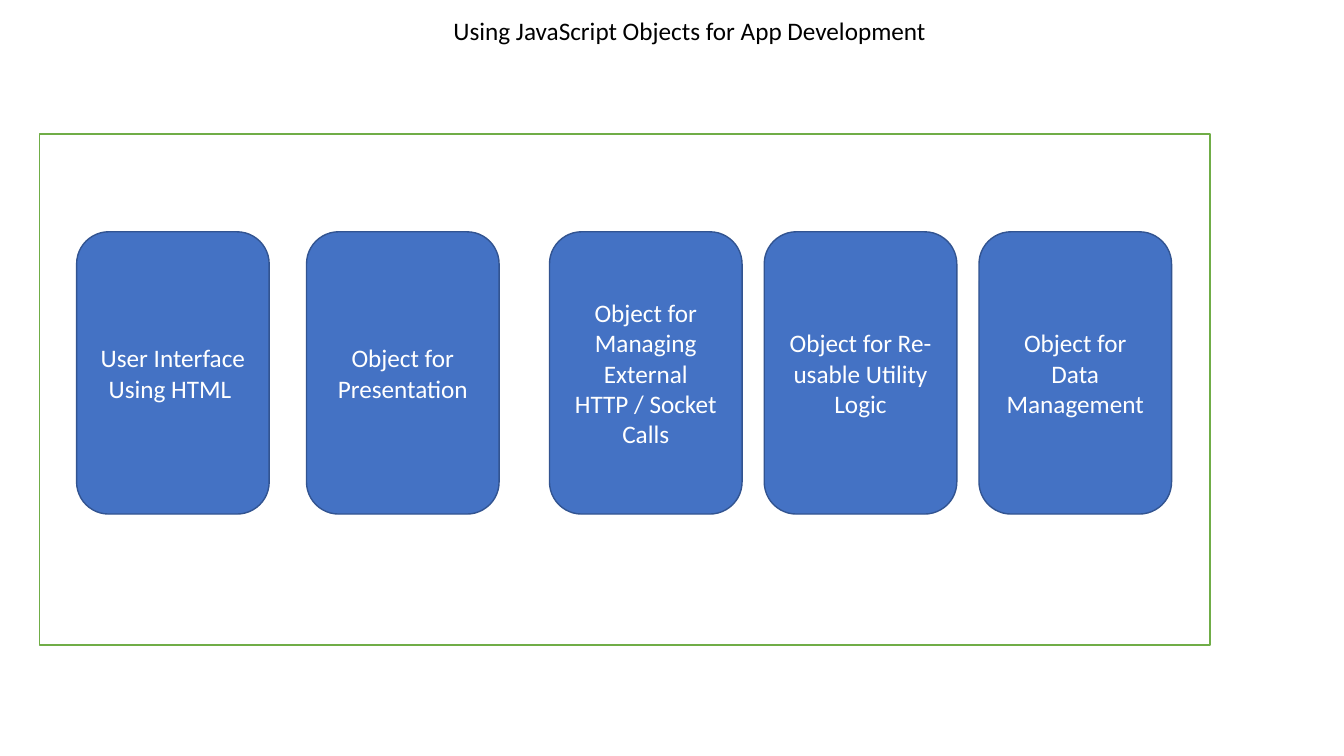
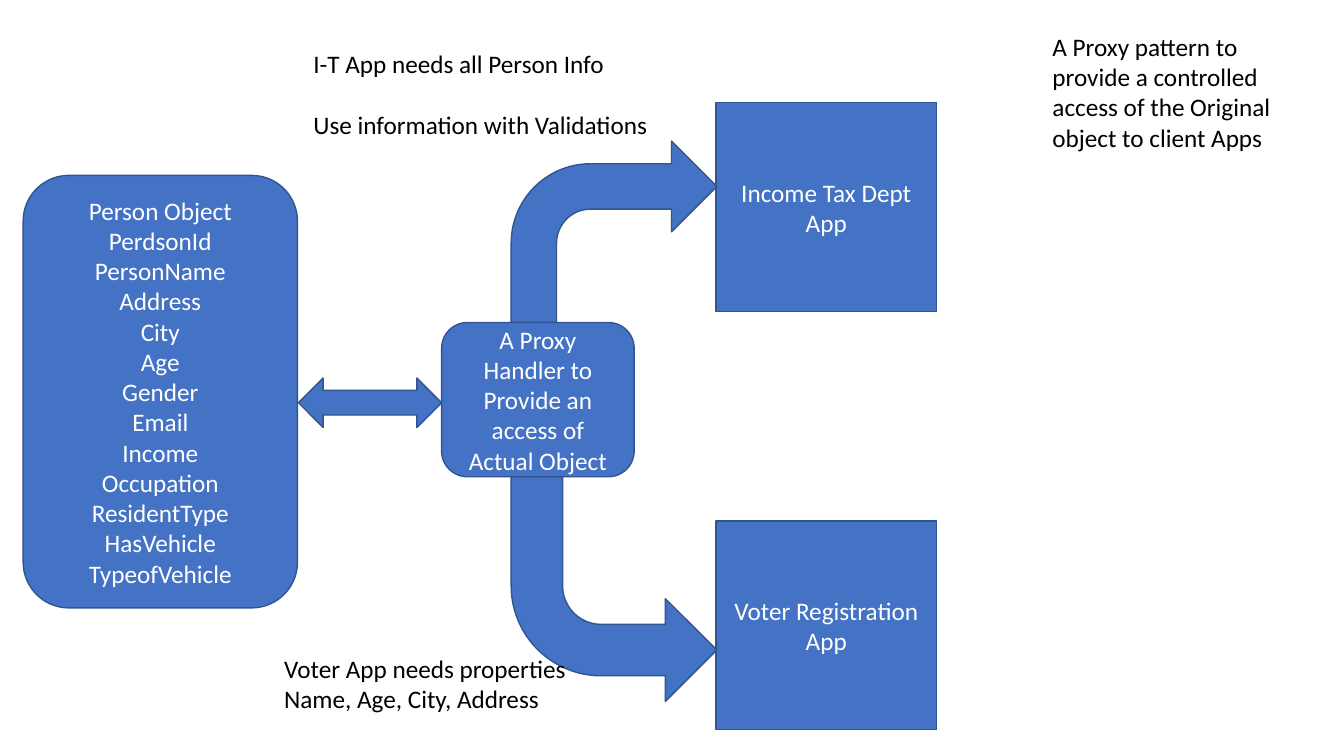
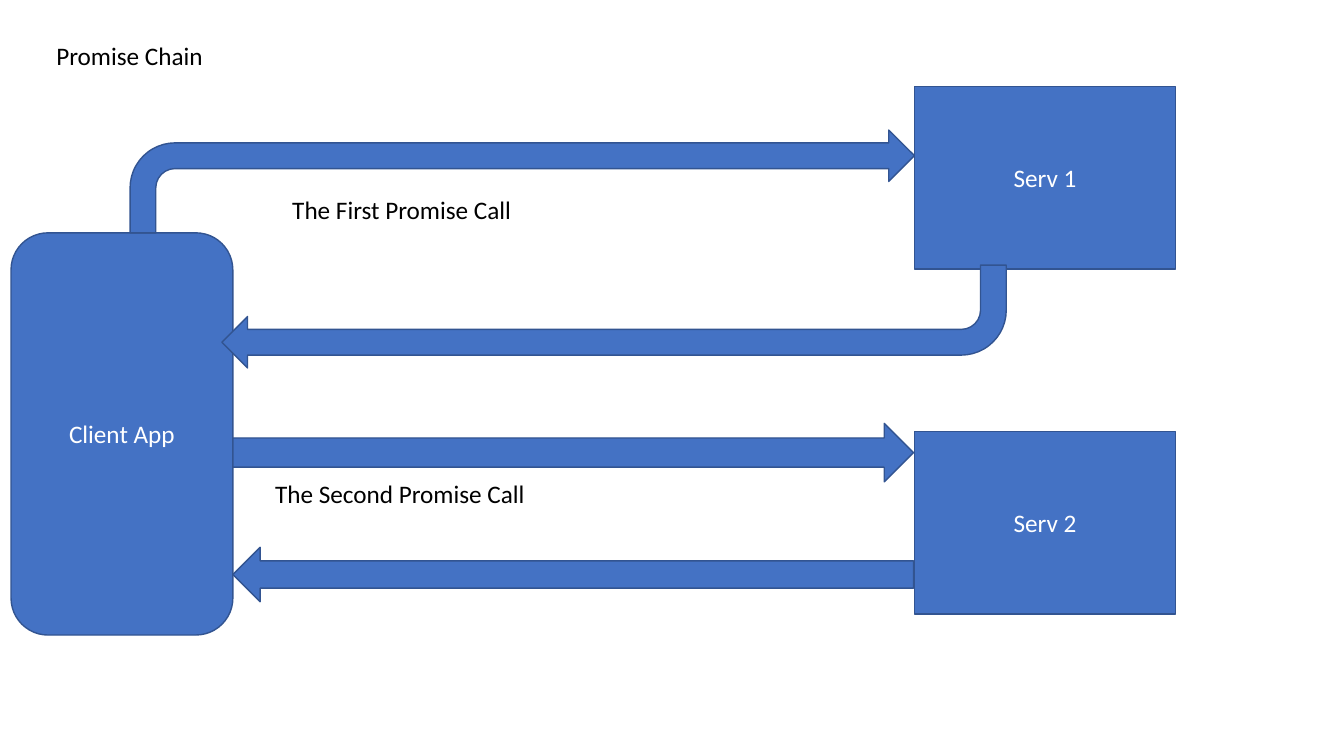
from pptx import Presentation
from pptx.dml.color import RGBColor
from pptx.enum.shapes import MSO_SHAPE as Kind
from pptx.enum.text import MSO_ANCHOR as Anchor, MSO_AUTO_SIZE as Fit, PP_ALIGN as Align
from pptx.util import Inches, Pt

# Shared style
BLUE, EDGE, GREEN, WHITE, BLACK = "4472C4", "325491", "70AD47", "FFFFFF", "000000"
FONT = {"name": "Calibri", "size": Pt(18)}
BOX = {"word_wrap": True, "vertical_anchor": Anchor.MIDDLE}
NOTE = {"word_wrap": True, "auto_size": Fit.SHAPE_TO_FIT_TEXT}
ROUND, RECT, BENT = Kind.ROUNDED_RECTANGLE, Kind.RECTANGLE, Kind.BENT_ARROW

# Slide 1: left edge and lines of each card
TITLE = "Using JavaScript Objects for App Development"
FRAME = (0.39, 1.33, 11.61, 5.07)
CARD_TOP, CARD_W, CARD_H = 2.3, 1.91, 2.8
CARDS = [
    (0.76, ["User Interface", "Using HTML "]),
    (3.04, ["Object for Presentation"]),
    (5.45, ["Object for Managing External HTTP / Socket Calls"]),
    (7.58, ["Object for Re-usable Utility Logic"]),
    (9.71, ["Object for Data Management"]),
]

# Slide 2: a person object, its proxy and two client apps
PERSON = ["Person Object", "PerdsonId", "PersonName", "Address", "City", "Age", "Gender",
          "Email", "Income", "Occupation", "ResidentType", "HasVehicle", "TypeofVehicle"]
PROXY = ["A Proxy Handler to Provide an access of Actual Object"]
APPS = [(1.02, "Income Tax Dept App"), (5.17, "Voter Registration App")]
NEEDS = ["I-T App needs all Person Info", "Use information with Validations"]
VOTER = ["Voter App needs properties", "Name, Age, City, Address"]
ABOUT = ["A Proxy pattern to provide a controlled access of the Original object to client Apps"]

# Slide 3: a client and two servers
SERVERS = [(0.86, "Serv 1"), (4.28, "Serv 2")]
LABELS = [
    ((0.46, 0.35, 5.72, 0.4), "Promise Chain"),
    ((2.8, 1.88, 5.79, 0.4), "The First Promise Call"),
    ((2.63, 4.7, 5.75, 0.4), "The Second Promise Call"),
]
BENDS = [((1.29, 1.29, 7.78, 1.02), 0), ((2.2, 2.63, 7.78, 1.02), 180)]
CALLS = [(Kind.RIGHT_ARROW, (2.31, 4.2, 6.75, 0.58)),
         (Kind.LEFT_ARROW, (2.31, 5.43, 6.75, 0.54))]


def rgb(code):
    return RGBColor.from_string(code)


def apply(thing, values):
    for key, value in values.items():
        setattr(thing, key, value)


def write(frame, lines, color, align, style, gap=0):
    apply(frame, style)
    for i, line in enumerate(lines):
        para = frame.paragraphs[0] if i == 0 else frame.add_paragraph()
        para.alignment = align
        para.space_before = Pt(gap if i else 0)
        run = para.add_run()
        run.text = line
        apply(run.font, FONT)
        run.font.color.rgb = rgb(color)


def note(slide, at, lines, align=Align.LEFT, gap=0):
    box = slide.shapes.add_textbox(*map(Inches, at))
    write(box.text_frame, lines, BLACK, align, NOTE, gap)


def block(slide, kind, at, lines=(), fill=BLUE, edge=EDGE):
    shape = slide.shapes.add_shape(kind, *map(Inches, at))
    shape.shadow.inherit = False
    shape.fill.solid()
    shape.fill.fore_color.rgb = rgb(fill)
    shape.line.color.rgb = rgb(edge)
    shape.line.width = Pt(1)
    write(shape.text_frame, lines, WHITE, Align.CENTER, BOX)
    return shape


deck = Presentation()
apply(deck, {"slide_width": Inches(13.33), "slide_height": Inches(7.5)})
cards, proxy, chain = [deck.slides.add_slide(deck.slide_layouts[6]) for _ in range(3)]

# Objects in a frame
note(cards, (3.12, 0.1, 7.44, 0.4), [TITLE], Align.CENTER)
block(cards, RECT, FRAME, fill=WHITE, edge=GREEN)
for left, lines in CARDS:
    block(cards, ROUND, (left, CARD_TOP, CARD_W, CARD_H), lines)

# Proxy pattern
block(proxy, ROUND, (0.23, 1.74, 2.72, 4.29), PERSON)
for top, name in APPS:
    block(proxy, RECT, (7.1, top, 2.19, 2.07), [name])
block(proxy, BENT, (5.07, 1.4, 2.04, 1.8))
down = block(proxy, BENT, (5.07, 4.73, 2.04, 2.23))
down.element.spPr.xfrm.set("flipV", "1")
note(proxy, (3.01, 0.43, 3.66, 1.01), NEEDS, gap=22)
note(proxy, (2.72, 6.43, 3.31, 0.71), VOTER)
block(proxy, ROUND, (4.38, 3.2, 1.91, 1.53), PROXY)
block(proxy, Kind.LEFT_RIGHT_ARROW, (2.96, 3.75, 1.42, 0.49))
note(proxy, (10.34, 0.26, 2.84, 1.31), ABOUT)

# Promise chain
block(chain, ROUND, (0.11, 2.31, 2.2, 3.99), ["Client App"])
for top, name in SERVERS:
    block(chain, RECT, (9.07, top, 2.59, 1.81), [name])
for at, turn in BENDS:
    block(chain, BENT, at).rotation = turn
for kind, at in CALLS:
    block(chain, kind, at)
for at, text in LABELS:
    note(chain, at, [text])

deck.save("out.pptx")
